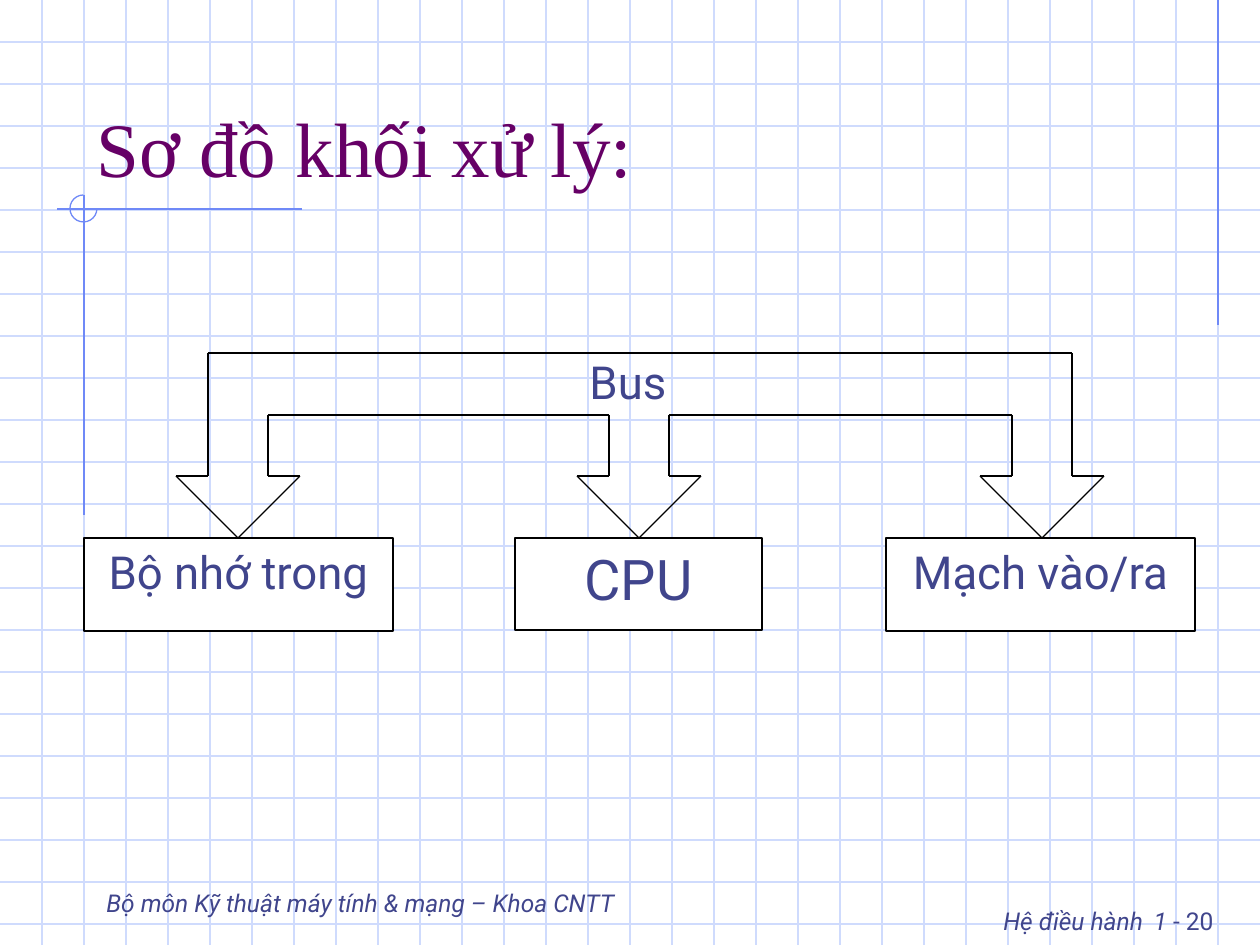
from lxml.etree import SubElement
from pptx import Presentation
from pptx.dml.color import RGBColor
from pptx.enum.shapes import MSO_CONNECTOR, MSO_SHAPE
from pptx.enum.text import MSO_ANCHOR, MSO_AUTO_SIZE, PP_ALIGN
from pptx.oxml.ns import qn
from pptx.util import Pt

EMU_PER_PX = 914400 / 126
WIDTH, HEIGHT, GRID = 1260, 945, 42
COLORS = {
    "paper": "FFFFFF",
    "grid": "CFDBFD",
    "accent": "6F89F7",
    "title": "660066",
    "text": "40458C",
    "outline": "000000",
}
LABEL = {"name": "Roboto", "size": Pt(26)}
CPU_LABEL = {"name": "Roboto", "size": Pt(32)}
FOOTER = {"name": "Roboto", "size": Pt(14), "italic": True}
FOOTER_GAP = {"name": "Roboto", "size": Pt(24), "italic": False}
TITLE = {"name": "Times New Roman", "size": Pt(44)}

# Levels of the bus diagram
BUS_TOP, BUS_BOTTOM, HEAD_TOP, BOX_TOP = 353, 415, 476, 538
SHAFT_HALF, HEAD_HALF = 30, 62


def px(value):
    return round(value * EMU_PER_PX)


def color(name):
    return RGBColor.from_string(COLORS[name])


def set_line(shape, color_name):
    shape.line.color.rgb = color(color_name)
    shape.line.width = Pt(0.75)


def add_line(slide, x1, y1, x2, y2, color_name="outline"):
    connector = slide.shapes.add_connector(
        MSO_CONNECTOR.STRAIGHT, px(x1), px(y1), px(x2), px(y2))
    set_line(connector, color_name)
    SubElement(connector.element.spPr, qn("a:effectLst"))


def write_text(shape, runs, align=PP_ALIGN.LEFT, anchor=MSO_ANCHOR.TOP, color_name="text"):
    """Fill a shape with one paragraph made of (text, format) runs."""
    frame_format = {"word_wrap": True, "auto_size": MSO_AUTO_SIZE.NONE,
                    "vertical_anchor": anchor}
    for attribute, value in frame_format.items():
        setattr(shape.text_frame, attribute, value)
    paragraph = shape.text_frame.paragraphs[0]
    paragraph.alignment = align
    for text, font_format in runs:
        run = paragraph.add_run()
        run.text = text
        run.font.color.rgb = color(color_name)
        for attribute, value in font_format.items():
            setattr(run.font, attribute, value)


def add_label(slide, box, runs, **layout):
    write_text(slide.shapes.add_textbox(*map(px, box)), runs, **layout)


def add_box(slide, box, text, font_format):
    shape = slide.shapes.add_shape(MSO_SHAPE.RECTANGLE, *map(px, box))
    shape.shadow.inherit = False
    shape.fill.solid()
    shape.fill.fore_color.rgb = color("paper")
    set_line(shape, "outline")
    write_text(shape, [(text, font_format)], align=PP_ALIGN.CENTER)


def add_bus_arrow(slide, center, left_top, right_top):
    """Draw an open down arrow whose shaft sides start at the given levels."""
    for side, shaft_top in ((-1, left_top), (1, right_top)):
        shaft, head = center + side * SHAFT_HALF, center + side * HEAD_HALF
        add_line(slide, shaft, shaft_top, shaft, HEAD_TOP)
        add_line(slide, shaft, HEAD_TOP, head, HEAD_TOP)
        add_line(slide, head, HEAD_TOP, center, BOX_TOP)


def add_background(slide):
    # Graph paper
    for y in range(GRID, HEIGHT, GRID):
        add_line(slide, 0, y, WIDTH, y, "grid")
    for x in range(GRID, WIDTH, GRID):
        add_line(slide, x, 0, x, HEIGHT, "grid")
    # Accent lines and the open circle where they cross
    add_line(slide, 1218, 0, 1218, 325, "accent")
    add_line(slide, 302, 209, 57, 209, "accent")
    add_line(slide, 84, 195, 84, 515, "accent")
    arc = slide.shapes.add_shape(MSO_SHAPE.ARC, px(70), px(195), px(27), px(27))
    arc.shadow.inherit = False
    arc.fill.background()
    set_line(arc, "accent")
    # Angles in units of 100000/60000 degree: from 0 to 270 degrees
    arc.adjustments[0], arc.adjustments[1] = 0, 270 * 0.6


def add_title(slide, text):
    title = slide.shapes.title
    # Bring the title in front of the graph paper
    title.element.getparent().append(title.element)
    position = {"left": 84, "top": 42, "width": 1071, "height": 157}
    for attribute, value in position.items():
        setattr(title, attribute, px(value))
    write_text(title, [(text, TITLE)], anchor=MSO_ANCHOR.BOTTOM, color_name="title")


def add_bus_diagram(slide):
    # Units joined by the bus
    add_box(slide, (515, BOX_TOP, 247, 92), "CPU", CPU_LABEL)
    add_box(slide, (84, BOX_TOP, 309, 93), "Bộ nhớ trong", LABEL)
    add_box(slide, (886, BOX_TOP, 309, 93), "Mạch vào/ra", LABEL)
    # Arrows, then the bus edges between them
    memory, cpu, io_unit = 238, 639, 1042
    add_bus_arrow(slide, memory, BUS_TOP, BUS_BOTTOM)
    add_bus_arrow(slide, cpu, BUS_BOTTOM, BUS_BOTTOM)
    add_bus_arrow(slide, io_unit, BUS_BOTTOM, BUS_TOP)
    for left, right in ((memory, cpu), (cpu, io_unit)):
        add_line(slide, left + SHAFT_HALF, BUS_BOTTOM, right - SHAFT_HALF, BUS_BOTTOM)
    add_line(slide, memory - SHAFT_HALF, BUS_TOP, io_unit + SHAFT_HALF, BUS_TOP)
    add_label(slide, (577, 348, 185, 92), [("Bus", LABEL)])


def add_footer(slide):
    page = [("Hệ điều hành", FOOTER), (" ", FOOTER_GAP), ("1", FOOTER),
            (" - 20", {**FOOTER, "italic": False})]
    add_label(slide, (861, 882, 365, 63), page, align=PP_ALIGN.RIGHT)
    add_label(slide, (94, 861, 703, 63),
              [("Bộ môn Kỹ thuật máy tính & mạng – Khoa CNTT", FOOTER)],
              anchor=MSO_ANCHOR.BOTTOM)


def main():
    presentation = Presentation()
    presentation.slide_width, presentation.slide_height = px(WIDTH), px(HEIGHT)
    slide = presentation.slides.add_slide(presentation.slide_layouts[5])
    slide.background.fill.solid()
    slide.background.fill.fore_color.rgb = color("paper")
    add_background(slide)
    add_footer(slide)
    add_title(slide, "Sơ đồ khối xử lý:")
    add_bus_diagram(slide)
    presentation.save("out.pptx")


if __name__ == "__main__":
    main()
